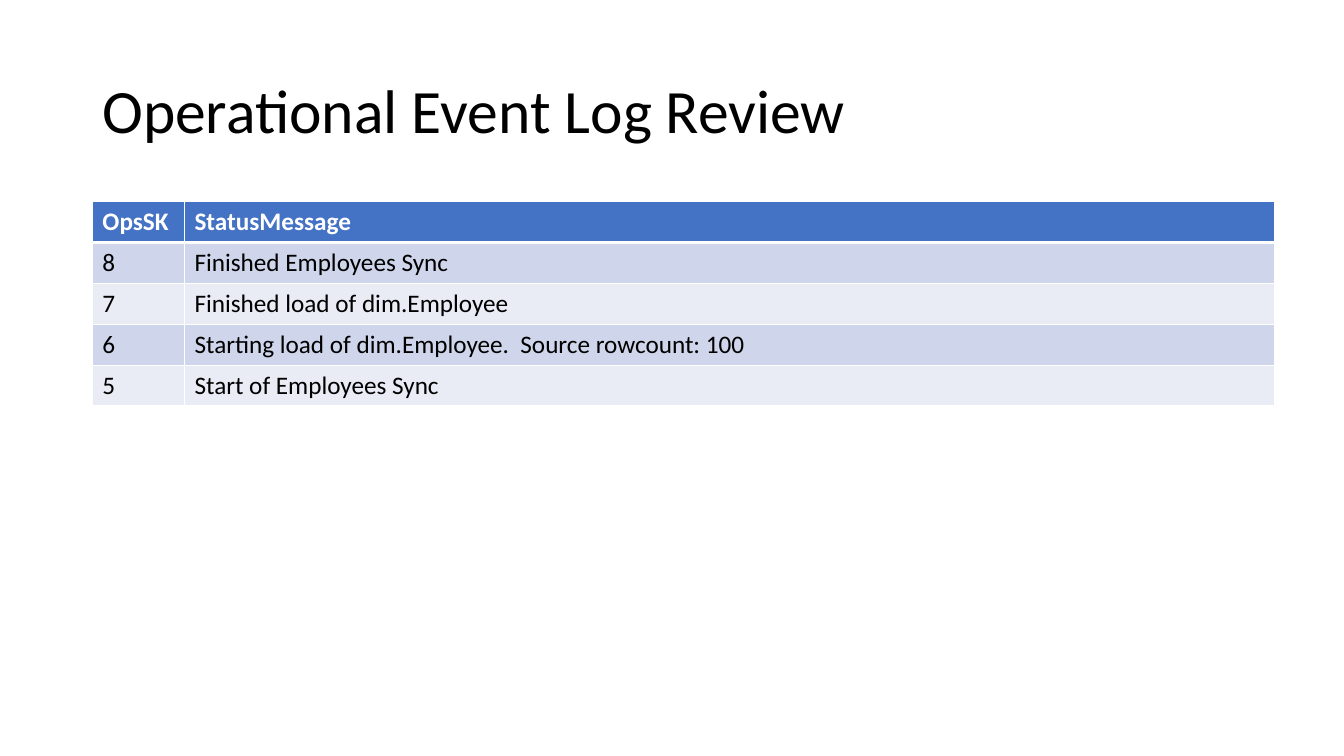
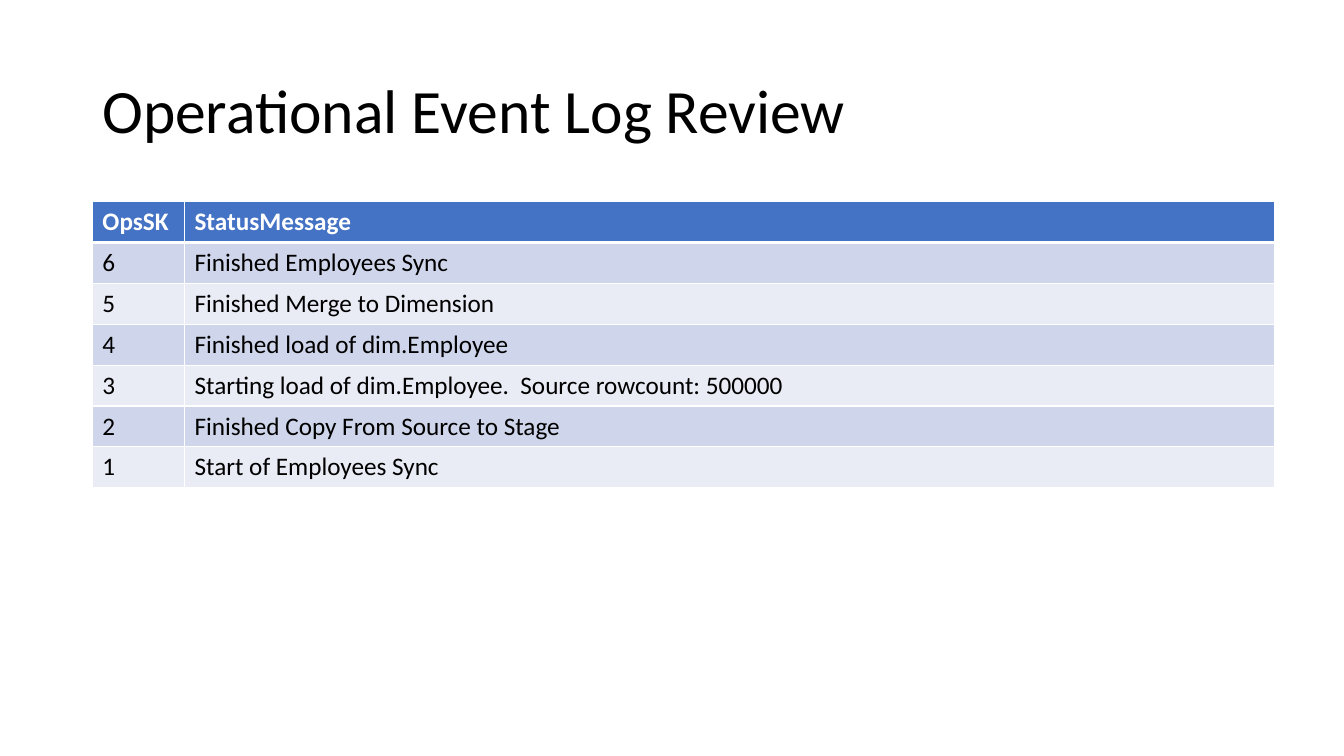
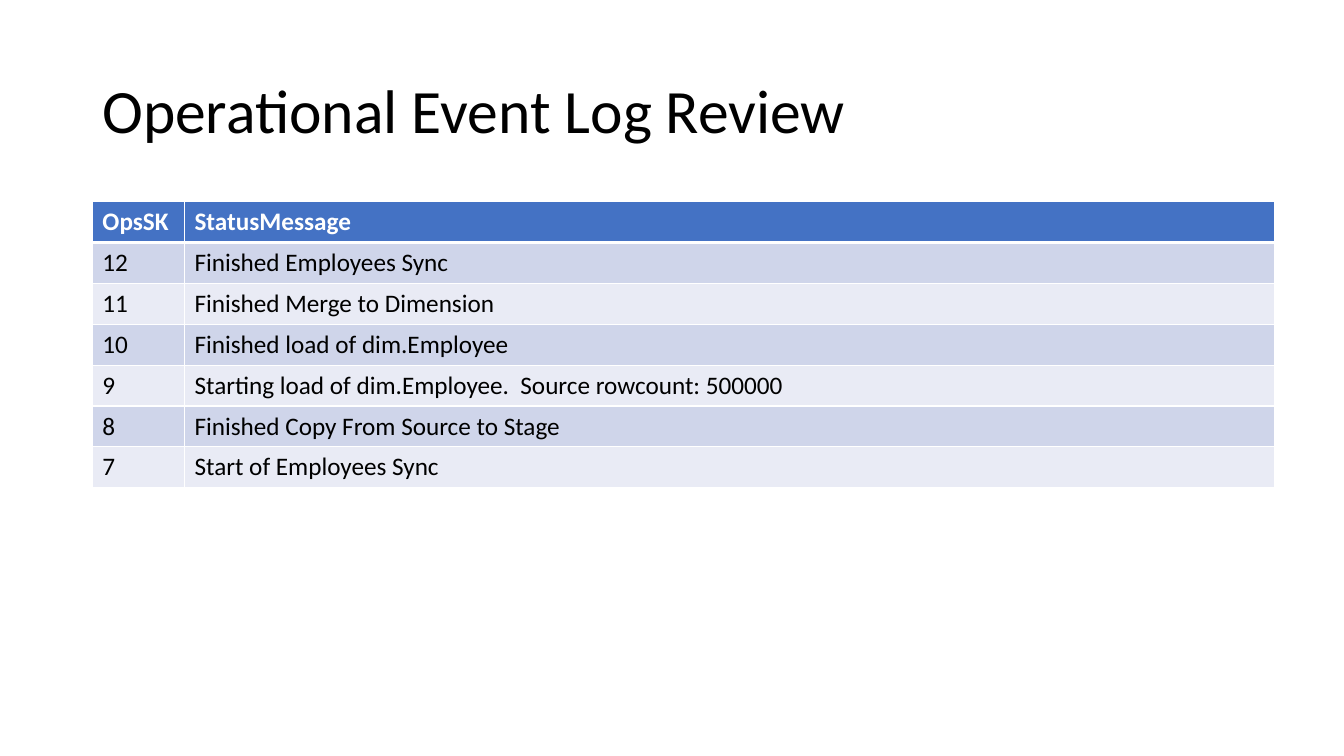
from dataclasses import dataclass

from lxml import etree
from pptx import Presentation
from pptx.dml.color import RGBColor
from pptx.enum import text
from pptx.oxml import ns
from pptx.util import Pt

TITLE = "Operational Event Log Review"
HEADINGS = ("OpsSK", "StatusMessage")

# Each log: the newest OpsSK, then its messages from newest to oldest.
LOGS = [
    (8, [
        "Finished Employees Sync",
        "Finished load of dim.Employee",
        "Starting load of dim.Employee.  Source rowcount: 100",
        "Start of Employees Sync",
    ]),
]
FULL_SYNC = [
    "Finished Employees Sync",
    "Finished Merge to Dimension",
    "Finished load of dim.Employee",
    "Starting load of dim.Employee.  Source rowcount: 500000",
    "Finished Copy From Source to Stage",
    "Start of Employees Sync",
]
LOGS += [(6, FULL_SYNC), (12, FULL_SYNC)]


@dataclass(frozen=True)
class Theme:
    """Colours, type and measures in points shared by all slides."""
    font: str = "Calibri"
    ink: str = "000000"
    paper: str = "FFFFFF"
    header: str = "4472C4"
    bands: tuple = ("CFD5EA", "E9EBF5")
    title_size: float = 44
    table_size: float = 18
    rule: float = 1
    header_rule: float = 3
    slide: tuple = (960, 540)
    title_box: tuple = (66, 28.75, 828, 104.4)
    table_origin: tuple = (66, 144)
    columns: tuple = (65.8, 778.6)
    row_height: float = 29.2


THEME = Theme()


def write(frame, words, size, color, bold=False):
    """Put one styled line in a text frame and return its paragraph."""
    line = frame.paragraphs[0]
    run = line.add_run()
    run.text = words
    style = {"name": THEME.font, "size": Pt(size), "bold": bold}
    for key, value in style.items():
        setattr(run.font, key, value)
    run.font.color.rgb = RGBColor.from_string(color)
    return line


def add_title(slide):
    """Add the slide title."""
    frame = slide.shapes.add_textbox(*map(Pt, THEME.title_box)).text_frame
    layout = {"word_wrap": True, "vertical_anchor": text.MSO_ANCHOR.MIDDLE}
    for key, value in layout.items():
        setattr(frame, key, value)
    write(frame, TITLE, THEME.title_size, THEME.ink).line_spacing = 0.9


def rule_cell(cell, widths):
    """Draw the cell borders from a dict of side and width."""
    properties = cell._tc.get_or_add_tcPr()
    for side, width in widths.items():
        border = etree.SubElement(properties, ns.qn(f"a:ln{side}"), w=str(Pt(width)))
        fill = etree.SubElement(border, ns.qn("a:solidFill"))
        etree.SubElement(fill, ns.qn("a:srgbClr"), val=THEME.paper)


def add_log(slide, newest, messages):
    """Add the event table, numbered downwards from the newest event."""
    events = [HEADINGS] + [(str(newest - i), message)
                           for i, message in enumerate(messages)]
    size = (sum(THEME.columns), THEME.row_height * len(events))
    log = slide.shapes.add_table(len(events), len(HEADINGS),
                                 *map(Pt, THEME.table_origin + size)).table
    for column, width in zip(log.columns, THEME.columns):
        column.width = Pt(width)
    for r, event in enumerate(events):
        log.rows[r].height = Pt(THEME.row_height)
        is_header = r == 0
        band = THEME.header if is_header else THEME.bands[(r - 1) % 2]
        color = THEME.paper if is_header else THEME.ink
        borders = dict.fromkeys("LRTB", THEME.rule)
        if r < 2:
            borders["B" if is_header else "T"] = THEME.header_rule
        for c, words in enumerate(event):
            cell = log.cell(r, c)
            rule_cell(cell, borders)
            cell.fill.solid()
            cell.fill.fore_color.rgb = RGBColor.from_string(band)
            write(cell.text_frame, words, THEME.table_size, color, is_header)


def build():
    """Build one slide per log and save the deck."""
    deck = Presentation()
    deck.slide_width, deck.slide_height = map(Pt, THEME.slide)
    blank = deck.slide_layouts[6]
    for newest, messages in LOGS:
        slide = deck.slides.add_slide(blank)
        add_title(slide)
        add_log(slide, newest, messages)
    deck.save("out.pptx")


build()
